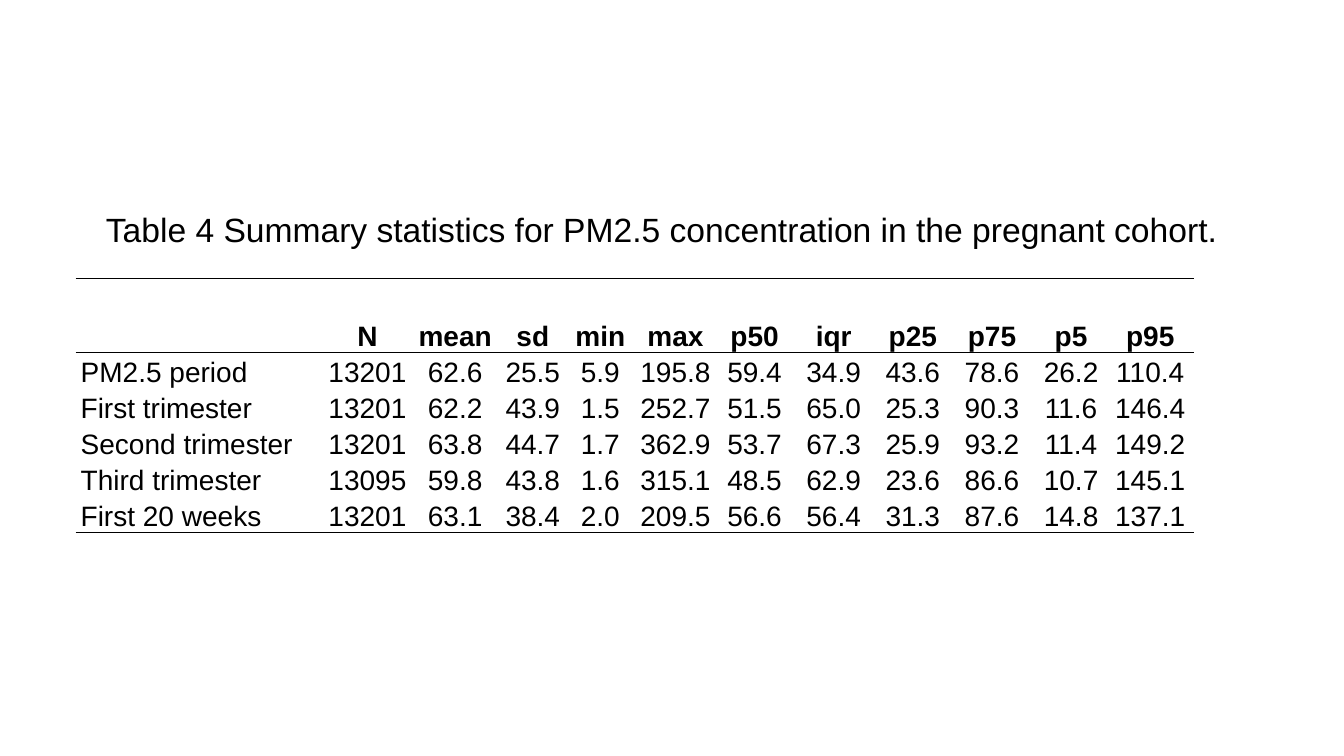
from dataclasses import dataclass

from lxml.etree import SubElement
from pptx import Presentation
from pptx.dml.color import RGBColor
from pptx.enum.text import MSO_ANCHOR as Anchor, MSO_AUTO_SIZE as AutoSize, PP_ALIGN as Align
from pptx.oxml.ns import qn
from pptx.util import Inches, Pt


@dataclass(frozen=True)
class Theme:
    font: str = "Arial"
    ink: str = "000000"
    caption_size: int = 24
    table_size: int = 20
    rule_width: int = 1


theme = Theme()


def write(frame, text, size, bold=False, align=Align.LEFT, spacing=1.0):
    para = frame.paragraphs[0]
    para.alignment = align
    para.line_spacing = spacing
    span = para.add_run()
    span.text = text
    span.font.name = theme.font
    span.font.size = Pt(size)
    span.font.bold = bold
    span.font.color.rgb = RGBColor.from_string(theme.ink)


def set_borders(cell, ruled_sides):
    properties = cell._tc.get_or_add_tcPr()
    for position, side in enumerate("LRTB"):
        line = SubElement(properties, qn(f"a:ln{side}"))
        properties.insert(position, line)  # borders come before the fill
        if side in ruled_sides:
            line.set("w", str(Pt(theme.rule_width)))
            fill = SubElement(line, qn("a:solidFill"))
            SubElement(fill, qn("a:srgbClr"), val=theme.ink)
        else:
            SubElement(line, qn("a:noFill"))


# Page with a title
deck = Presentation()
deck.slide_width, deck.slide_height = Inches(13.33), Inches(7.5)
page = deck.slides.add_slide(deck.slide_layouts[5])

# Caption
caption = page.shapes.title
caption.left, caption.top = Inches(0.95), Inches(2.02)
caption.width, caption.height = Inches(11.43), Inches(0.5)
caption.text_frame.word_wrap = False
caption.text_frame.auto_size = AutoSize.NONE
caption.text_frame.vertical_anchor = Anchor.MIDDLE
write(caption.text_frame,
      "Table 4 Summary statistics for PM2.5 concentration in the pregnant cohort.",
      theme.caption_size)

# Summary statistics
statistics = [
    ["", "N", "mean", "sd", "min", "max", "p50", "iqr", "p25", "p75", "p5", "p95"],
    ["PM2.5 period", "13201", "62.6", "25.5", "5.9", "195.8",
     "59.4", "34.9", "43.6", "78.6", "26.2", "110.4"],
    ["First trimester", "13201", "62.2", "43.9", "1.5", "252.7",
     "51.5", "65.0", "25.3", "90.3", "11.6", "146.4"],
    ["Second trimester", "13201", "63.8", "44.7", "1.7", "362.9",
     "53.7", "67.3", "25.9", "93.2", "11.4", "149.2"],
    ["Third trimester", "13095", "59.8", "43.8", "1.6", "315.1",
     "48.5", "62.9", "23.6", "86.6", "10.7", "145.1"],
    ["First 20 weeks", "13201", "63.1", "38.4", "2.0", "209.5",
     "56.6", "56.4", "31.3", "87.6", "14.8", "137.1"],
]
last_row = len(statistics) - 1
column_widths = [2.44, 0.91, 0.83, 0.71, 0.63, 0.86] + [0.71, 0.86] * 3
row_heights = [0.74] + [0.35] * last_row

# Table grid
table = page.shapes.add_table(
    len(row_heights), len(column_widths), Inches(0.75), Inches(2.76),
    Inches(sum(column_widths)), Inches(sum(row_heights))).table
table.first_row = table.horz_banding = False
for column, width in zip(table.columns, column_widths):
    column.width = Inches(width)
for row, height in zip(table.rows, row_heights):
    row.height = Inches(height)

# Cells, ruled above and below the header and under the last row
for row_index, values in enumerate(statistics):
    ruled_sides = ("T" if row_index <= 1 else "") + ("B" if row_index in (0, last_row) else "")
    for column_index, value in enumerate(values):
        cell = table.cell(row_index, column_index)
        cell.margin_left = cell.margin_right = Inches(0.05)
        cell.margin_top = cell.margin_bottom = 0
        cell.vertical_anchor = Anchor.BOTTOM
        cell.fill.background()
        set_borders(cell, ruled_sides)
        if value:
            write(cell.text_frame, value, theme.table_size, bold=row_index == 0,
                  align=Align.CENTER if column_index else Align.LEFT, spacing=1.15)

deck.save("out.pptx")
